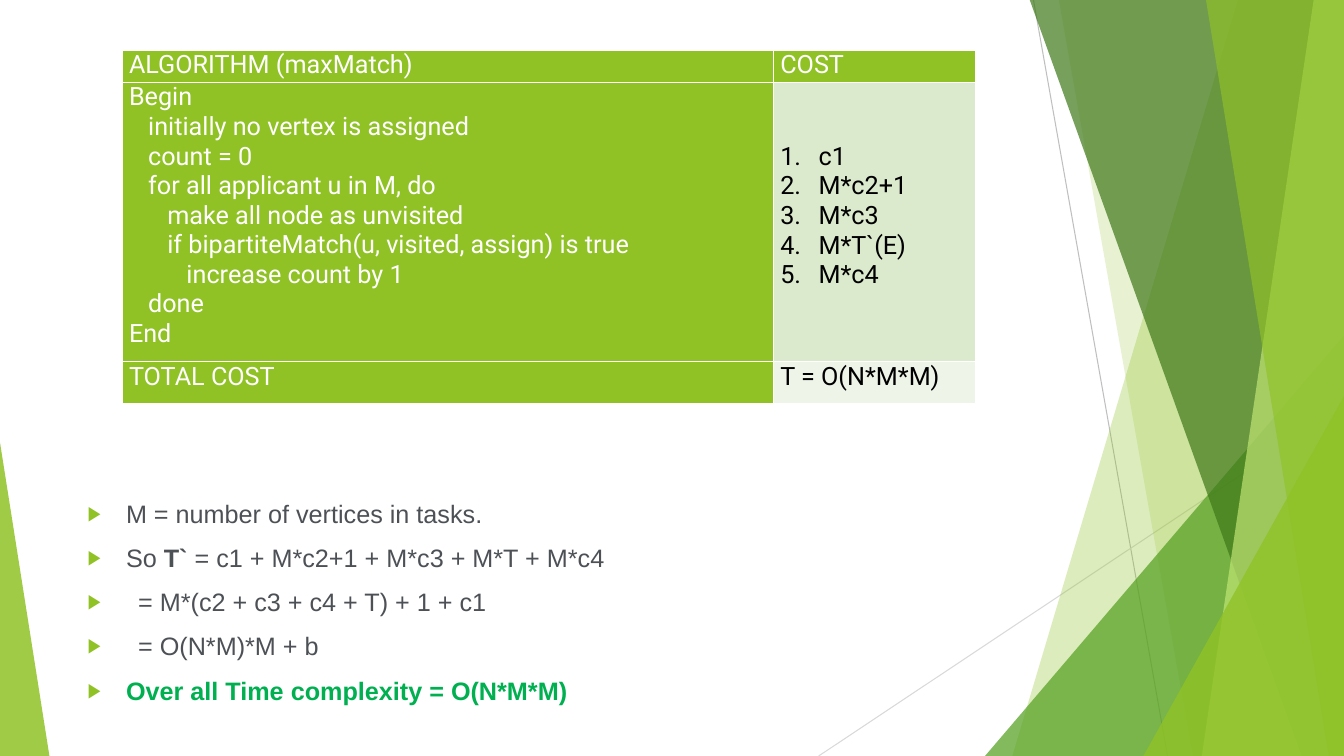
"""Build the maxMatch algorithm cost slide."""
import lxml.etree
import pptx
import pptx.dml.color
import pptx.enum.shapes
import pptx.enum.text
import pptx.oxml
import pptx.oxml.ns
import pptx.util

Inches = pptx.util.Inches
GREEN, WHITE, BLACK, GREY = "90C226", "FFFFFF", "000000", "4D5156"


def paint(fill, color, alpha=100):
    fill.solid()
    fill.fore_color.rgb = pptx.dml.color.RGBColor.from_string(color)
    if alpha < 100:
        node = fill._xPr.find(".//" + pptx.oxml.ns.qn("a:srgbClr"))
        lxml.etree.SubElement(node, pptx.oxml.ns.qn("a:alpha"), val=str(alpha * 1000))


def write(para, text, font="Roboto", color=WHITE, bold=False, left=0, hang=0, bullet=()):
    props = para._p.get_or_add_pPr()
    props.set("marL", str(Inches(left)))
    props.set("indent", str(-Inches(hang)))
    for tag in bullet:
        if props.find(pptx.oxml.ns.qn(tag.split()[0][1:])) is None:
            props.append(pptx.oxml.parse_xml(
                tag.replace(" ", f" {pptx.oxml.ns.nsdecls('a')} ", 1)))
    span = para.add_run()
    span.text = text
    span.font.name, span.font.size, span.font.bold = font, pptx.util.Pt(18), bold
    paint(span.font.fill, color)


deck = pptx.Presentation()
deck.slide_width, deck.slide_height = Inches(13.33), Inches(7.5)
page = deck.slides.add_slide(deck.slide_layouts[1])
title = page.shapes.title._element
title.getparent().remove(title)

for x1, y1, x2, y2, color in [(10.25, 0, 11.58, 7.5, "BFBFBF"), (13.33, 4.03, 8.12, 7.5, "D9D9D9")]:
    line = page.shapes.add_connector(pptx.enum.shapes.MSO_CONNECTOR.STRAIGHT,
                                     Inches(x1), Inches(y1), Inches(x2), Inches(y2))
    paint(line.line.fill, color)
    line.line.width = pptx.util.Pt(0.75)
    lxml.etree.SubElement(line._element.spPr, pptx.oxml.ns.qn("a:effectLst"))

bands = [
    ("blade", 12.28, 10.04, GREEN, 30),
    ("blade", 10.5, 11.83, GREEN, 20),
    ("triangle", (9.77, 3.33, 3.56, 4.17), 1, "54A021", 72),
    ("blade", 10.21, 12.91, "3F7819", 70),
    ("blade", 13.03, 11.92, "C0E474", 70),
    ("blade", 11.96, 13.18, GREEN, 65),
    ("triangle", (11.34, 3.93, 1.99, 3.57), 1, GREEN, 80),
    ("triangle", (0, 4.39, 0.49, 3.11), 0, GREEN, 85),
]
for kind, first, second, color, alpha in bands:
    if kind == "blade":
        outline = page.shapes.build_freeform(Inches(first), Inches(-0.01))
        corners = [(13.33, -0.01), (13.33, 7.5), (second, 7.5)]
        outline.add_line_segments([(Inches(x), Inches(y)) for x, y in corners])
        shape = outline.convert_to_shape()
    else:
        shape = page.shapes.add_shape(pptx.enum.shapes.MSO_SHAPE.ISOSCELES_TRIANGLE,
                                      *[Inches(value) for value in first])
        shape.adjustments[0] = second
    shape.shadow.inherit = False
    shape.line.fill.background()
    paint(shape.fill, color, alpha)

body = page.placeholders[1]
body._element.getparent().append(body._element)
body.left, body.top, body.width, body.height = [Inches(value) for value in (0.77, 4.89, 9.4, 1.72)]
frame = body.text_frame
frame.auto_size = pptx.enum.text.MSO_AUTO_SIZE.NONE
frame.vertical_anchor = pptx.enum.text.MSO_ANCHOR.TOP
arrow = (f'<a:buClr ><a:srgbClr val="{GREEN}"/></a:buClr>', '<a:buSzPct val="80000"/>',
         '<a:buFont typeface="Arial"/>', '<a:buChar char="▶"/>')
arrow = tuple(tag.replace("buClr >", "buClr  >") for tag in arrow)
notes = [
    (0.38, GREY, [("M = number of vertices in tasks.", False)]),
    (0.38, GREY, [("So ", False), ("T`", True), (" = c1 + M*c2+1 + M*c3 + M*T + M*c4", False)]),
    (0.5, GREY, [("= M*(c2 + c3 + c4 + T) + 1 + c1", False)]),
    (0.5, GREY, [("= O(N*M)*M + b", False)]),
    (0.38, "00B050", [("Over all Time complexity = O(N*M*M)", True)]),
]
for index, (left, color, spans) in enumerate(notes):
    para = frame.add_paragraph() if index else frame.paragraphs[0]
    para.space_before = pptx.util.Pt(10)
    for text, bold in spans:
        write(para, text, font="Arial", color=color, bold=bold, left=left, hang=left, bullet=arrow)

table = page.shapes.add_table(3, 2, Inches(1.21), Inches(0.5), Inches(8.47), Inches(3.5)).table
table.horz_banding = False
for column, width in zip(table.columns, (6.46, 2.01)):
    column.width = Inches(width)
for row, height in zip(table.rows, (0.32, 2.77, 0.41)):
    row.height = Inches(height)

steps = [
    (0, "Begin"),
    (1, "initially no vertex is assigned"),
    (1, "count = 0"),
    (1, "for all applicant u in M, do"),
    (2, "make all node as unvisited"),
    (2, "if bipartiteMatch(u, visited, assign) is true"),
    (3, "increase count by 1"),
    (1, "done"),
    (0, "End"),
]
costs = ["c1", "M*c2+1", "M*c3", "M*T`(E)", "M*c4"]
number = ('<a:buFont typeface="Roboto"/>', '<a:buAutoNum type="arabicPeriod"/>')
cells = [
    (0, 0, GREEN, WHITE, [(0, "ALGORITHM (maxMatch)")]),
    (0, 1, GREEN, WHITE, [(0, "COST")]),
    (1, 0, GREEN, WHITE, steps),
    (1, 1, "DBE9CD", BLACK, [(2, cost) for cost in costs]),
    (2, 0, GREEN, WHITE, [(0, "TOTAL COST")]),
    (2, 1, "EEF4E8", BLACK, [(0, "T = O(N*M*M)")]),
]
for row, column, fill, color, lines in cells:
    cell = table.cell(row, column)
    numbered = (row, column) == (1, 1)
    cell.margin_left = cell.margin_right = Inches(0.07)
    cell.margin_top, cell.margin_bottom = Inches(0.59 if numbered else 0), 0
    for side in "LRTB":
        cell._tc.get_or_add_tcPr().append(pptx.oxml.parse_xml(
            f'<a:ln{side} {pptx.oxml.ns.nsdecls("a")} w="12700"><a:solidFill>'
            f'<a:srgbClr val="{WHITE}"/></a:solidFill></a:ln{side}>'))
    paint(cell.fill, fill)
    for index, (level, text) in enumerate(lines):
        para = cell.text_frame.add_paragraph() if index else cell.text_frame.paragraphs[0]
        para.alignment = pptx.enum.text.PP_ALIGN.JUSTIFY
        write(para, text, color=color, left=0.19 * level,
              hang=0.38 if numbered else 0, bullet=number if numbered else ())

deck.save("out.pptx")
